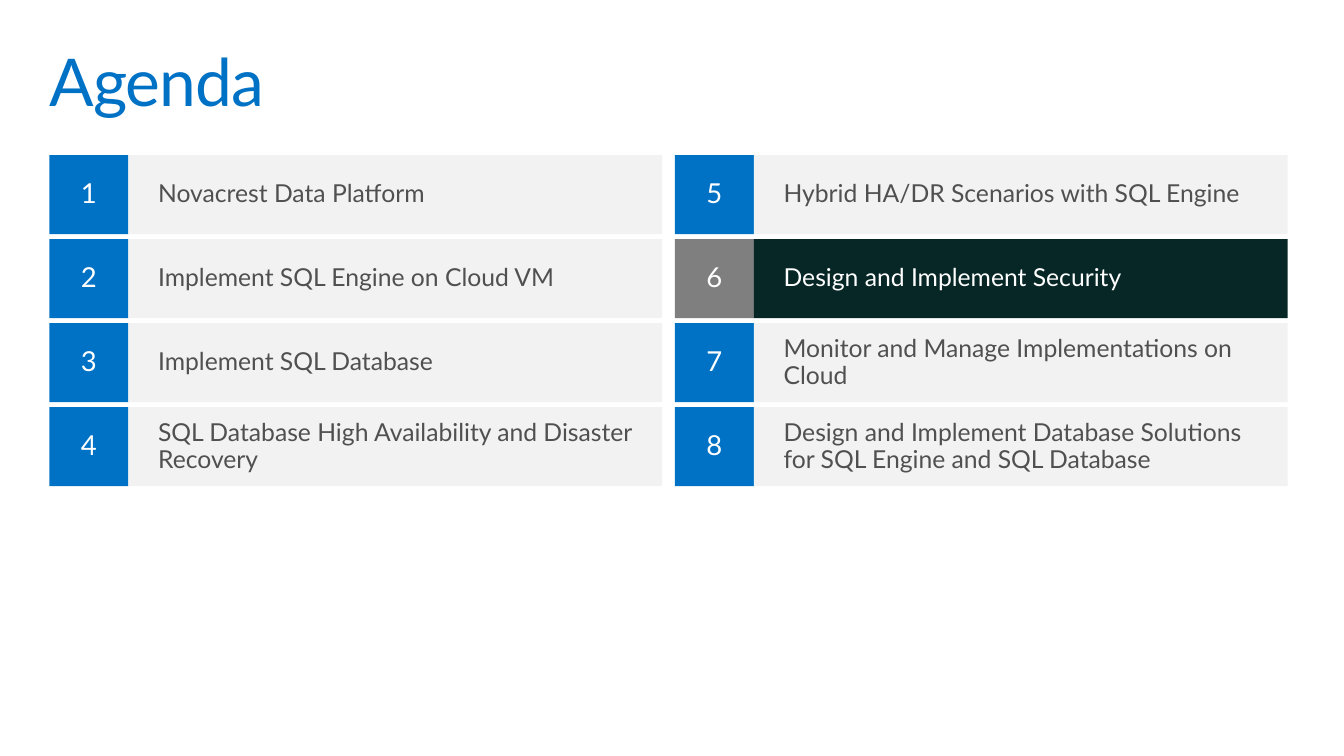
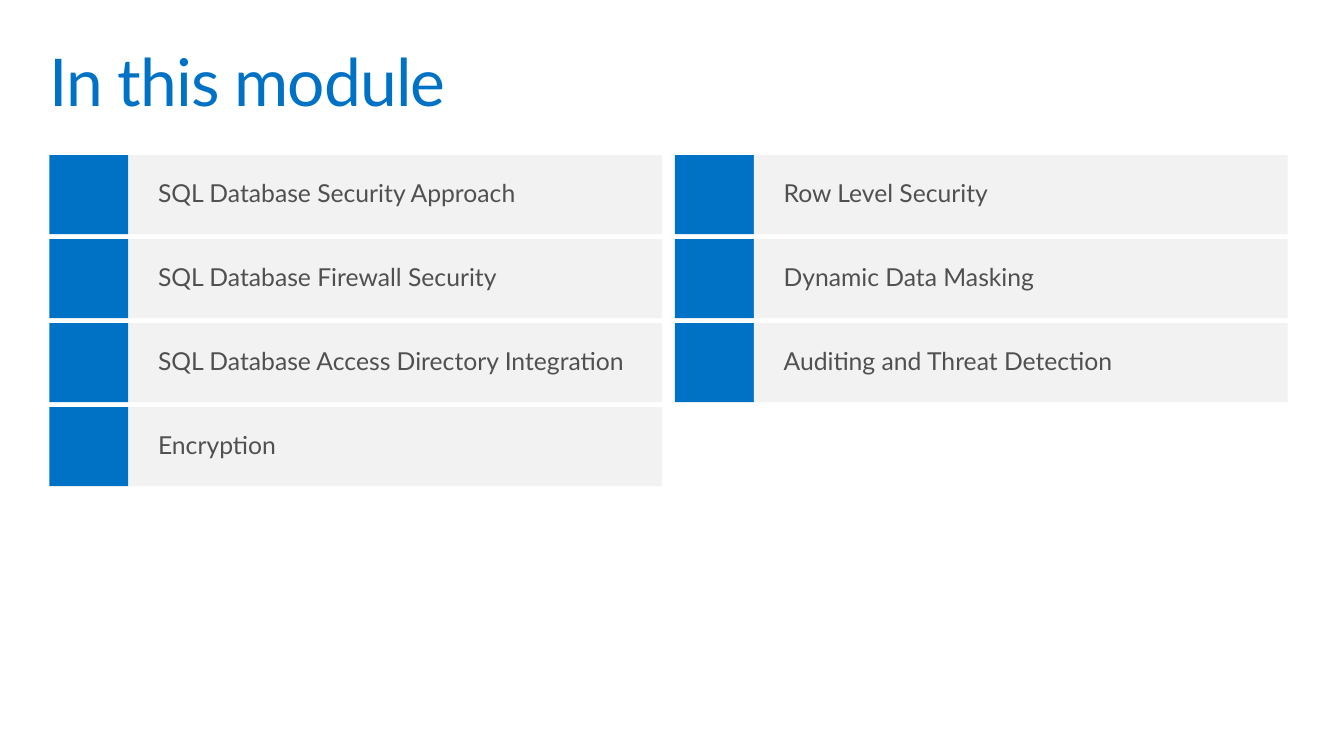
from pptx import Presentation
from pptx.dml.color import RGBColor
from pptx.enum.shapes import MSO_SHAPE
from pptx.enum.text import MSO_ANCHOR, MSO_AUTO_SIZE, PP_ALIGN
from pptx.util import Inches, Pt

RECTANGLE = MSO_SHAPE.RECTANGLE
TOP, MIDDLE = MSO_ANCHOR.TOP, MSO_ANCHOR.MIDDLE
LEFT, CENTER = PP_ALIGN.LEFT, PP_ALIGN.CENTER
NO_AUTOFIT = MSO_AUTO_SIZE.NONE
TITLE_ONLY = 5

COLORS = {
    "blue": "0072C6",
    "gray": "7F7F7F",
    "pale": "F2F2F2",
    "dark": "072726",
    "text": "505050",
    "white": "FFFFFF",
}
FONT = "Lato"
ROWS = 4
GRID_LEFT, GRID_TOP = 0.5, 1.57
COLUMN_PITCH, ROW_PITCH = 6.33, 0.85
TILE, BAR_WIDTH = 0.8, 5.4

AGENDA = [
    "Novacrest Data Platform",
    "Implement SQL Engine on Cloud VM",
    "Implement SQL Database",
    "SQL Database High Availability and Disaster Recovery",
    "Hybrid HA/DR Scenarios with SQL Engine",
    "Design and Implement Security",
    "Monitor and Manage Implementations on Cloud",
    "Design and Implement Database Solutions for SQL Engine and SQL Database",
]
CURRENT = "Design and Implement Security"
MODULE = [
    "SQL Database Security Approach",
    "SQL Database Firewall Security",
    "SQL Database Access Directory Integration",
    "Encryption",
    "Row Level Security",
    "Dynamic Data Masking",
    "Auditing and Threat Detection",
]


def color(name):
    return RGBColor.from_string(COLORS[name])


class Deck:
    def __init__(self):
        self.presentation = Presentation()
        self.presentation.slide_width = Inches(13.6)
        self.presentation.slide_height = Inches(7.65)
        self.slide = None

    def add_slide(self, heading):
        layout = self.presentation.slide_layouts[TITLE_ONLY]
        self.slide = self.presentation.slides.add_slide(layout)
        title = self.slide.shapes.title
        place = {"left": 0.4, "top": 0.4, "width": 12.8, "height": 1}
        for side, inches in place.items():
            setattr(title, side, Inches(inches))
        run = self.label(title, heading, 48, "blue", (0.1, 0.1), TOP, LEFT)
        run._r.get_or_add_rPr().set("spc", "-70")

    def label(self, shape, text, size, ink, insets, anchor, align):
        across, down = map(Inches, insets)
        frame = shape.text_frame
        frame_format = {
            "word_wrap": True,
            "auto_size": NO_AUTOFIT,
            "vertical_anchor": anchor,
            "margin_left": across,
            "margin_right": across,
            "margin_top": down,
            "margin_bottom": down,
        }
        for name, value in frame_format.items():
            setattr(frame, name, value)
        paragraph = frame.paragraphs[0]
        paragraph.alignment = align
        paragraph.line_spacing = 0.9
        run = paragraph.add_run()
        run.text = text
        for name, value in {"name": FONT, "size": Pt(size), "bold": False}.items():
            setattr(run.font, name, value)
        run.font.color.rgb = color(ink)
        return run

    def box(self, left, top, width, fill):
        shape = self.slide.shapes.add_shape(
            RECTANGLE, Inches(left), Inches(top), Inches(width), Inches(TILE)
        )
        shape.shadow.inherit = False
        shape.fill.solid()
        shape.fill.fore_color.rgb = color(fill)
        shape.line.fill.background()
        return shape

    def topic(self, index, text, numbered, current):
        column, row = divmod(index, ROWS)
        left = GRID_LEFT + column * COLUMN_PITCH
        top = GRID_TOP + row * ROW_PITCH
        tile_fill, bar_fill, ink = (
            ("gray", "dark", "white") if current else ("blue", "pale", "text")
        )
        tile = self.box(left, top, TILE, tile_fill)
        if numbered:
            self.label(tile, str(index + 1), 20, "white", (0.2, 0.16), MIDDLE, CENTER)
        bar = self.box(left + TILE, top, BAR_WIDTH, bar_fill)
        self.label(bar, text, 18, ink, (0.3, 0.1), MIDDLE, LEFT)

    def topics(self, entries, numbered=False, current=None):
        for index, text in enumerate(entries):
            self.topic(index, text, numbered, text == current)


def main():
    deck = Deck()
    deck.add_slide("Agenda")
    deck.topics(AGENDA, numbered=True, current=CURRENT)
    deck.add_slide("In this module")
    deck.topics(MODULE)
    deck.presentation.save("out.pptx")


if __name__ == "__main__":
    main()
